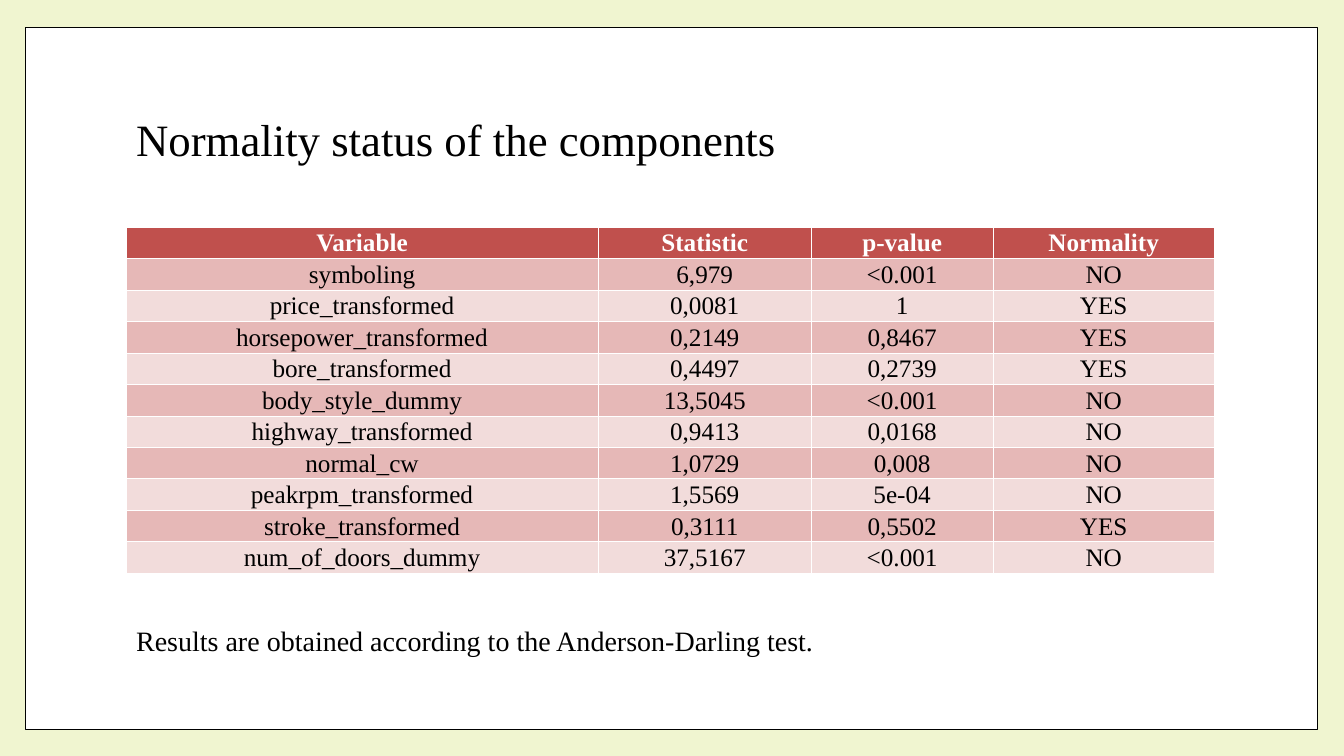
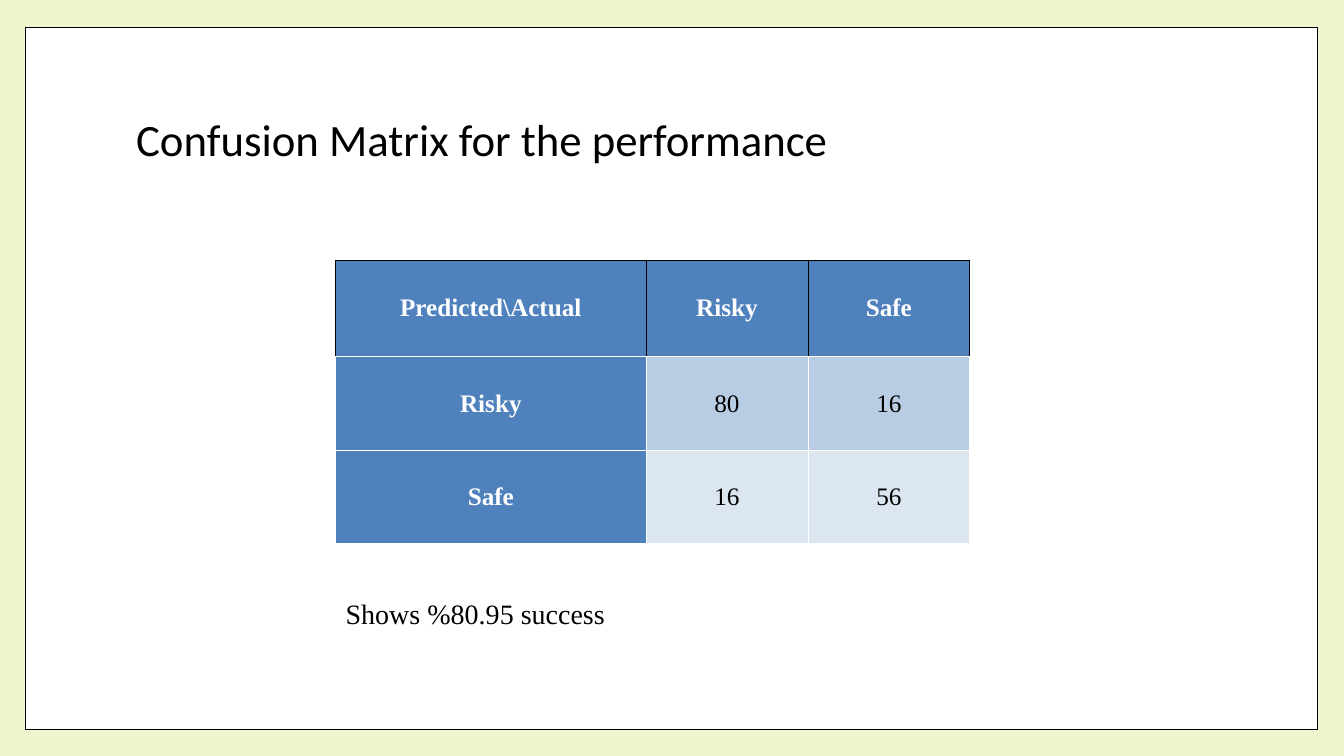
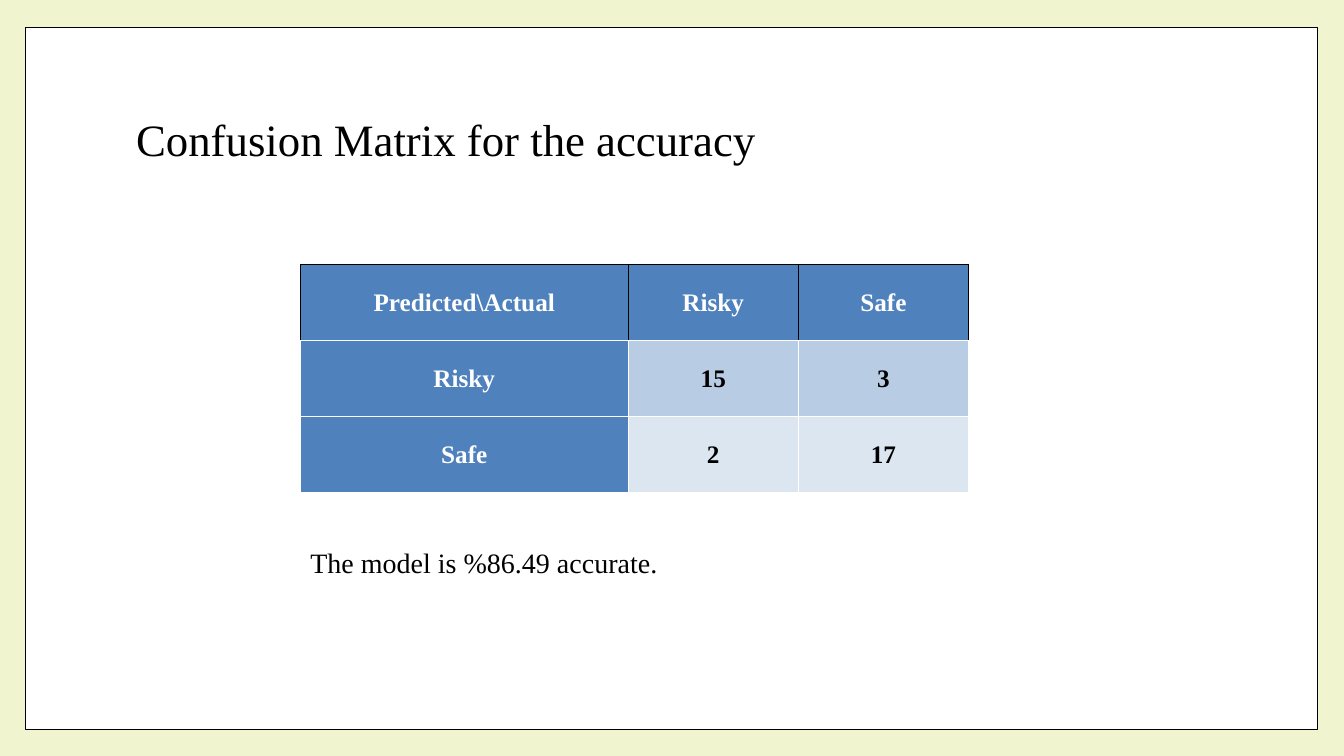
"""Build three slides of test results, each with a title, a table and a note."""
import pptx
import pptx.dml.color
import pptx.enum.shapes
import pptx.enum.text
import pptx.util
from lxml import etree
from pptx.oxml.ns import qn

Cm, Pt = pptx.util.Cm, pptx.util.Pt
ANCHOR, ALIGN = pptx.enum.text.MSO_ANCHOR, pptx.enum.text.PP_ALIGN

COLORS = {
    "page": "F0F5D0", "white": "FFFFFF", "black": "000000",
    "red": "C0504D", "red band": "E6B8B7", "red pale": "F2DCDB",
    "blue": "4F81BD", "blue band": "B8CCE4", "blue pale": "DCE6F1",
}
SERIF = "Times New Roman"
MARGIN_LEFT, CONTENT_WIDTH = 3.18, 27.43
NOTE_GAP = 1.2

NORMALITY = [
    ("Variable", "Statistic", "p-value", "Normality"),
    ("symboling", "6,979", "<0.001", "NO"),
    ("price_transformed", "0,0081", "1", "YES"),
    ("horsepower_transformed", "0,2149", "0,8467", "YES"),
    ("bore_transformed", "0,4497", "0,2739", "YES"),
    ("body_style_dummy", "13,5045", "<0.001", "NO"),
    ("highway_transformed", "0,9413", "0,0168", "NO"),
    ("normal_cw", "1,0729", "0,008", "NO"),
    ("peakrpm_transformed", "1,5569", "5e-04", "NO"),
    ("stroke_transformed", "0,3111", "0,5502", "YES"),
    ("num_of_doors_dummy", "37,5167", "<0.001", "NO"),
]
PERFORMANCE = [
    ("Predicted\\Actual", "Risky", "Safe"),
    ("Risky", "80", "16"),
    ("Safe", "16", "56"),
]
ACCURACY = [
    ("Predicted\\Actual", "Risky", "Safe"),
    ("Risky", "15", "3"),
    ("Safe", "2", "17"),
]

SLIDES = [
    {"title": "Normality status of the components", "title_font": SERIF,
     "rows": NORMALITY, "hue": "red", "matrix": False, "bold_values": False,
     "left": MARGIN_LEFT, "top": 5.72, "widths": (11.89, 5.38, 4.57, 5.59),
     "heights": [8.66 / len(NORMALITY)] * len(NORMALITY), "inset": 0.03,
     "note": "Results are obtained according to the Anderson-Darling test.",
     "note_width": 23.7},
    {"title": "Confusion Matrix for the performance", "title_font": "Calibri",
     "rows": PERFORMANCE, "hue": "blue", "matrix": True, "bold_values": False,
     "left": 8.46, "top": 6.55, "widths": (7.82, 4.08, 4.08),
     "heights": (2.44, 2.36, 2.36), "inset": 0,
     "note": "Shows %80.95 success", "note_width": 12.62},
    {"title": "Confusion Matrix for the accuracy", "title_font": SERIF,
     "rows": ACCURACY, "hue": "blue", "matrix": True, "bold_values": True,
     "left": 7.57, "top": 6.65, "widths": (8.26, 4.29, 4.29),
     "heights": (1.92, 1.92, 1.92), "inset": 0.03,
     "note": "The model is %86.49 accurate.", "note_width": 12.47},
]


def rgb(name):
    return pptx.dml.color.RGBColor.from_string(COLORS[name])


def paint(fill, color):
    fill.solid()
    fill.fore_color.rgb = rgb(color)


def style(paragraph, size, color="black", font=SERIF, bold=False):
    paragraph.font.size = Pt(size)
    paragraph.font.name = font
    paragraph.font.bold = bold
    paragraph.font.color.rgb = rgb(color)


def add_frame(slide):
    frame = slide.shapes.add_shape(
        pptx.enum.shapes.MSO_SHAPE.RECTANGLE, Cm(0.64), Cm(0.69), Cm(32.56), Cm(17.7))
    frame.shadow.inherit = False
    paint(frame.fill, "white")
    frame.line.color.rgb = rgb("black")
    frame.line.width = Pt(1)


def add_text(slide, text, left, top, width, height, size, font=SERIF):
    box = slide.shapes.add_textbox(Cm(left), Cm(top), Cm(width), Cm(height))
    box.text_frame.word_wrap = True
    paragraph = box.text_frame.paragraphs[0]
    paragraph.text = text
    style(paragraph, size, font=font)
    return box.text_frame


def add_title(slide, text, font):
    title = add_text(slide, text, MARGIN_LEFT, 1.7, CONTENT_WIDTH, 3.76, 32, font)
    title.vertical_anchor = ANCHOR.MIDDLE
    title.paragraphs[0].line_spacing = 0.9


def add_border(cell, side, color):
    line = etree.SubElement(cell._tc.get_or_add_tcPr(), qn(f"a:ln{side}"), w=str(Pt(0.5)))
    solid = etree.SubElement(line, qn("a:solidFill"))
    etree.SubElement(solid, qn("a:srgbClr"), val=COLORS[color])


def border_cell(cell, r, c, last_row, last_col, matrix):
    inner = {"L": c > 0, "R": c < last_col, "T": r > 0, "B": r < last_row}
    for side, is_inner in inner.items():
        if matrix and r == 0 and side != "B":
            add_border(cell, side, "black")
        elif is_inner:
            add_border(cell, side, "white")


def add_results(slide, page):
    rows, hue, matrix = page["rows"], page["hue"], page["matrix"]
    widths, heights = page["widths"], page["heights"]
    results = slide.shapes.add_table(
        len(rows), len(widths), Cm(page["left"]), Cm(page["top"]),
        Cm(sum(widths)), Cm(sum(heights))).table
    results.first_col = matrix
    for column, width in zip(results.columns, widths):
        column.width = Cm(width)
    for row, height in zip(results.rows, heights):
        row.height = Cm(height)
    for r, values in enumerate(rows):
        for c, value in enumerate(values):
            cell = results.cell(r, c)
            heading = r == 0 or (matrix and c == 0)
            border_cell(cell, r, c, len(rows) - 1, len(widths) - 1, matrix)
            paint(cell.fill, hue if heading else hue + (" band" if r % 2 else " pale"))
            cell.margin_left = cell.margin_right = cell.margin_top = Cm(page["inset"])
            cell.margin_bottom = 0
            cell.vertical_anchor = ANCHOR.MIDDLE
            paragraph = cell.text_frame.paragraphs[0]
            paragraph.text = value
            paragraph.alignment = ALIGN.CENTER
            style(paragraph, 18, "white" if heading else "black",
                  bold=heading or page["bold_values"])


def main():
    deck = pptx.Presentation()
    deck.slide_width, deck.slide_height = Cm(33.87), Cm(19.05)
    paint(deck.slide_master.background.fill, "page")
    for page in SLIDES:
        slide = deck.slides.add_slide(deck.slide_layouts[6])
        add_frame(slide)
        add_title(slide, page["title"], page["title_font"])
        add_results(slide, page)
        note_top = page["top"] + sum(page["heights"]) + NOTE_GAP
        note = add_text(slide, page["note"], page["left"], note_top,
                        page["note_width"], 1.11, 20)
        note.auto_size = pptx.enum.text.MSO_AUTO_SIZE.SHAPE_TO_FIT_TEXT
    deck.save("out.pptx")


if __name__ == "__main__":
    main()
